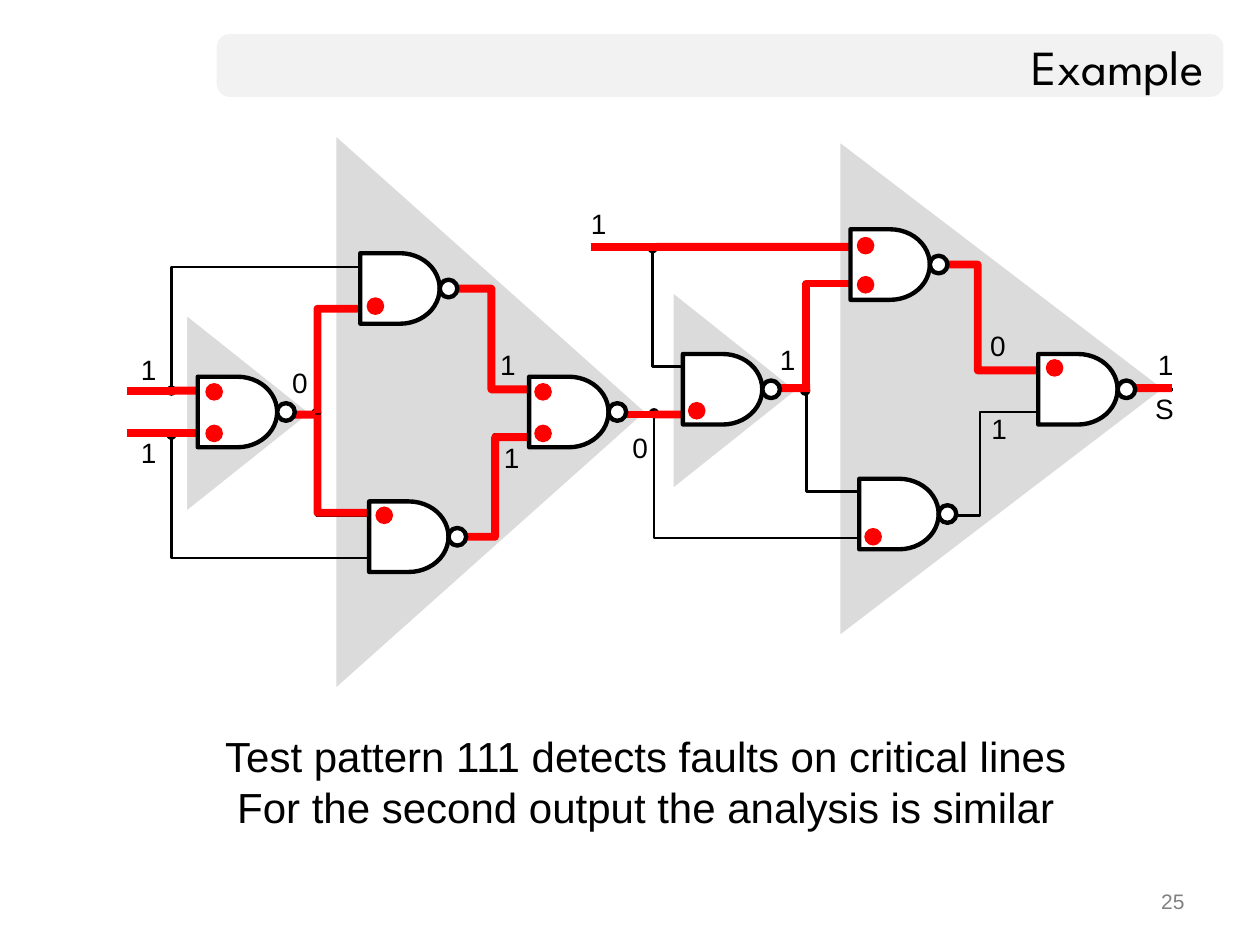
from lxml import etree
from pptx import Presentation
from pptx.dml.color import RGBColor
from pptx.enum.shapes import MSO_CONNECTOR, MSO_SHAPE
from pptx.enum.text import MSO_ANCHOR, PP_ALIGN
from pptx.oxml.ns import qn
from pptx.util import Pt

PX = 9144
LINE = MSO_CONNECTOR.STRAIGHT
BAR, CONE = MSO_SHAPE.ROUNDED_RECTANGLE, MSO_SHAPE.ISOSCELES_TRIANGLE
GATE, DOT = MSO_SHAPE.FLOWCHART_DELAY, MSO_SHAPE.OVAL
TOP, MID = MSO_ANCHOR.TOP, MSO_ANCHOR.MIDDLE
LEFT, CENTER, RIGHT = PP_ALIGN.LEFT, PP_ALIGN.CENTER, PP_ALIGN.RIGHT

THEME = {
    "black": RGBColor(0, 0, 0), "white": RGBColor(255, 255, 255),
    "red": RGBColor(255, 0, 0), "bar": RGBColor(0xF2, 0xF2, 0xF2),
    "cone": RGBColor(0xA6, 0xA6, 0xA6), "page": RGBColor(0x80, 0x80, 0x80),
    "body": "Arial", "head": "League Spartan",
    "title": 28, "note": 24, "label": 16, "small": 12,
    "thin": 1.5, "bold": 4.5, "gate": 2.5, "edge": 0.75,
}


def draw(host, kind, box, fill, line=None, width=None):
    shape = host.add_shape(kind, *[n * PX for n in box])
    shape.shadow.inherit = False
    shape.fill.solid()
    shape.fill.fore_color.rgb = THEME[fill]
    if line:
        shape.line.color.rgb = THEME[line]
        shape.line.width = Pt(THEME[width])
    else:
        shape.line.fill.background()
    return shape


def write(host, box, lines, size, color="black", font="body",
          align=LEFT, anchor=TOP, wrap=True):
    frame = host.add_textbox(*[n * PX for n in box]).text_frame
    frame.word_wrap = wrap
    frame.vertical_anchor = anchor
    for i, text in enumerate(lines):
        para = frame.add_paragraph() if i else frame.paragraphs[0]
        para.alignment = align
        run = para.add_run()
        run.text = text
        run.font.size = Pt(THEME[size])
        run.font.name = THEME[font]
        run.font.color.rgb = THEME[color]


deck = Presentation()
deck.slide_width, deck.slide_height = 1000 * PX, 750 * PX
slide = deck.slides.add_slide(deck.slide_layouts[6])
shapes = slide.shapes

bar = draw(shapes, BAR, (172, 27, 799, 50), "bar")
bar.adjustments[0] = 0.21
write(shapes, (717, 700, 233, 35), ["25"], "small", "page", align=RIGHT)
write(shapes, (172, 27, 793, 50), ["Example"], "title",
      font="head", align=RIGHT, anchor=MID)

cones = [(599, 180, 392, 257), (505, 261, 156, 98),
         (170, 204, 439, 246), (119, 279, 156, 98)]
for box in cones:
    cone = draw(shapes, CONE, box, "cone", "white", "edge")
    cone.rotation = 90
    tint = cone.fill._xPr.find(".//" + qn("a:srgbClr"))
    etree.SubElement(tint, qn("a:alpha"), val="40000")

labels = [("1", 102, 275), ("1", 102, 341), ("0", 222, 285), ("1", 387, 271),
          ("1", 390, 345), ("0", 492, 337), ("1", 459, 159), ("1", 609, 267),
          ("0", 776, 256), ("1", 777, 322), ("1", 909, 271)]
for text, x, y in labels:
    write(shapes, (x, y, 29, 64), [text], "label")
write(shapes, (907, 306, 53, 37), ["S"], "label")

joined = [
    [(576, 291), (518, 291), (518, 197)],
    [(707, 427), (519, 427), (519, 328)],
    [(305, 212), (136, 212), (136, 310)],
    [(305, 443), (136, 443), (136, 345)],
    [(203, 328), (251, 328)],
    [(591, 310), (639, 310)],
]
plain = [
    [(883, 309), (931, 309)],
    [(444, 327), (568, 327)],
    [(102, 310), (166, 310)],
    [(102, 344), (166, 344)],
    [(469, 197), (710, 197)],
    [(307, 244), (251, 244), (251, 409), (300, 409)],
    [(696, 226), (640, 226), (640, 390), (689, 390)],
]
for x, y in [(342, 229), (728, 211)]:
    plain.append([(x, y), (x + 50, y), (x + 50, y + 81), (x + 113, y + 81)])
    plain.append([(x, y + 198), (x + 50, y + 198),
                  (x + 50, y + 116), (x + 113, y + 116)])
critical = [
    [(930, 308), (867, 308), (825, 294), (776, 294), (776, 210),
     (706, 210), (678, 196), (521, 196)],
    [(697, 225), (640, 225), (640, 309)],
    [(643, 308), (580, 308), (552, 329), (519, 329)],
    [(425, 309), (390, 309), (390, 229), (329, 229), (307, 245),
     (252, 245), (252, 328)],
    [(428, 347), (393, 347), (393, 426), (339, 426), (316, 407),
     (252, 407), (252, 329)],
    [(250, 329), (207, 329), (186, 310), (138, 310)],
    [(138, 344), (202, 344)],
    [(524, 329), (498, 329)],
    [(522, 196), (469, 196)],
    [(138, 310), (101, 310)],
    [(138, 344), (101, 344)],
]
for wires, color, width, node in [(joined, "black", "thin", True),
                                  (plain, "black", "thin", False),
                                  (critical, "red", "bold", False)]:
    for points in wires:
        if len(points) == 2:
            (x, y), (u, v) = points
            wire = shapes.add_connector(LINE, x * PX, y * PX, u * PX, v * PX)
        else:
            pen = shapes.build_freeform(*points[0], scale=PX)
            pen.add_line_segments(points[1:], close=False)
            wire = pen.convert_to_shape()
            wire.fill.background()
        wire.line.color.rgb = THEME[color]
        wire.line.width = Pt(THEME[width])
        props = wire._element.spPr
        if node:
            etree.SubElement(props.find(qn("a:ln")), qn("a:tailEnd"), type="oval")
        etree.SubElement(props, qn("a:effectLst"))

gates = [(682, 380), (675, 182), (824, 281), (542, 281),
         (293, 398), (420, 299), (286, 201), (157, 299)]
for x, y in gates:
    group = shapes.add_group_shape().shapes
    draw(group, GATE, (x, y, 63, 56), "white", "black", "gate")
    draw(group, DOT, (x + 63, y + 21, 14, 14), "white", "black", "gate")

faults = [(686, 419), (680, 188), (680, 219), (546, 319), (298, 402), (424, 304),
          (424, 337), (291, 236), (163, 304), (163, 337), (830, 285)]
for x, y in faults:
    draw(shapes, DOT, (x, y, 14, 14), "red")

write(shapes, (160, 575, 705, 91),
      ["Test pattern 111 detects faults on critical lines",
       "For the second output the analysis is similar"],
      "note", align=CENTER, wrap=False)

deck.save("out.pptx")
